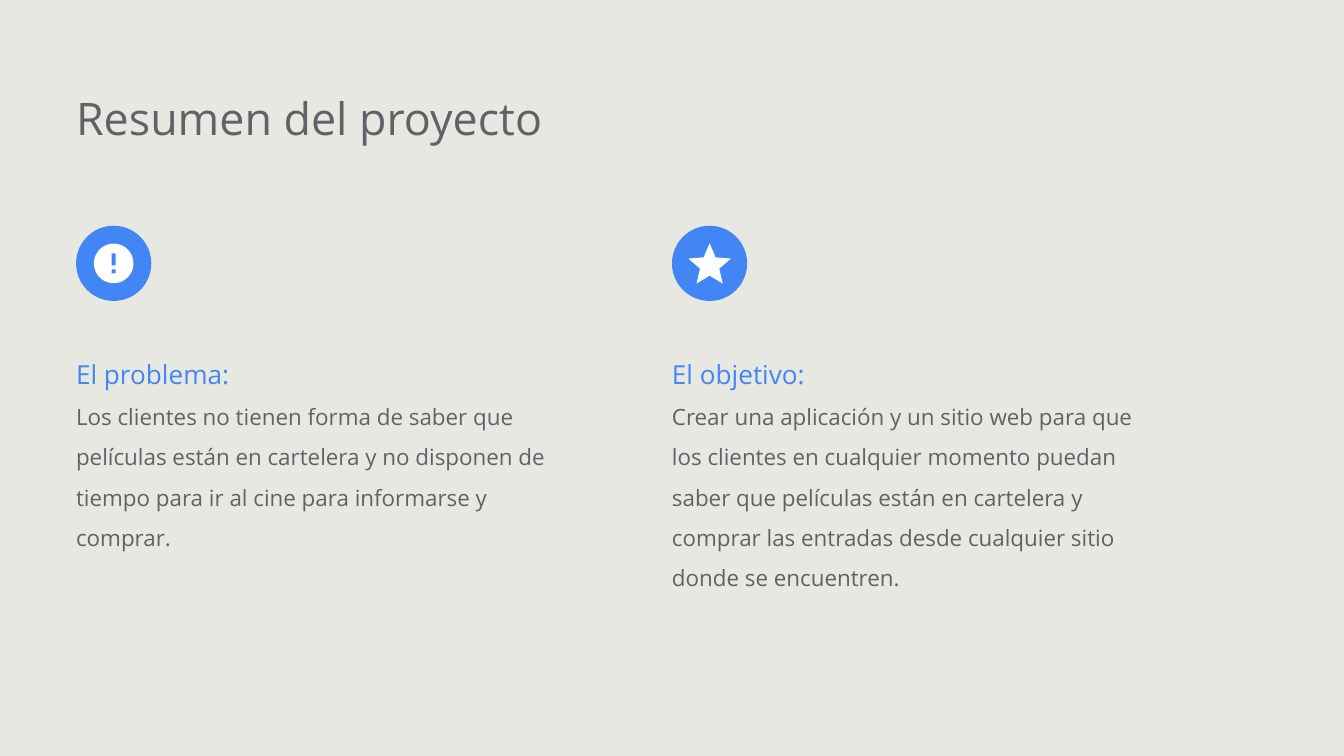
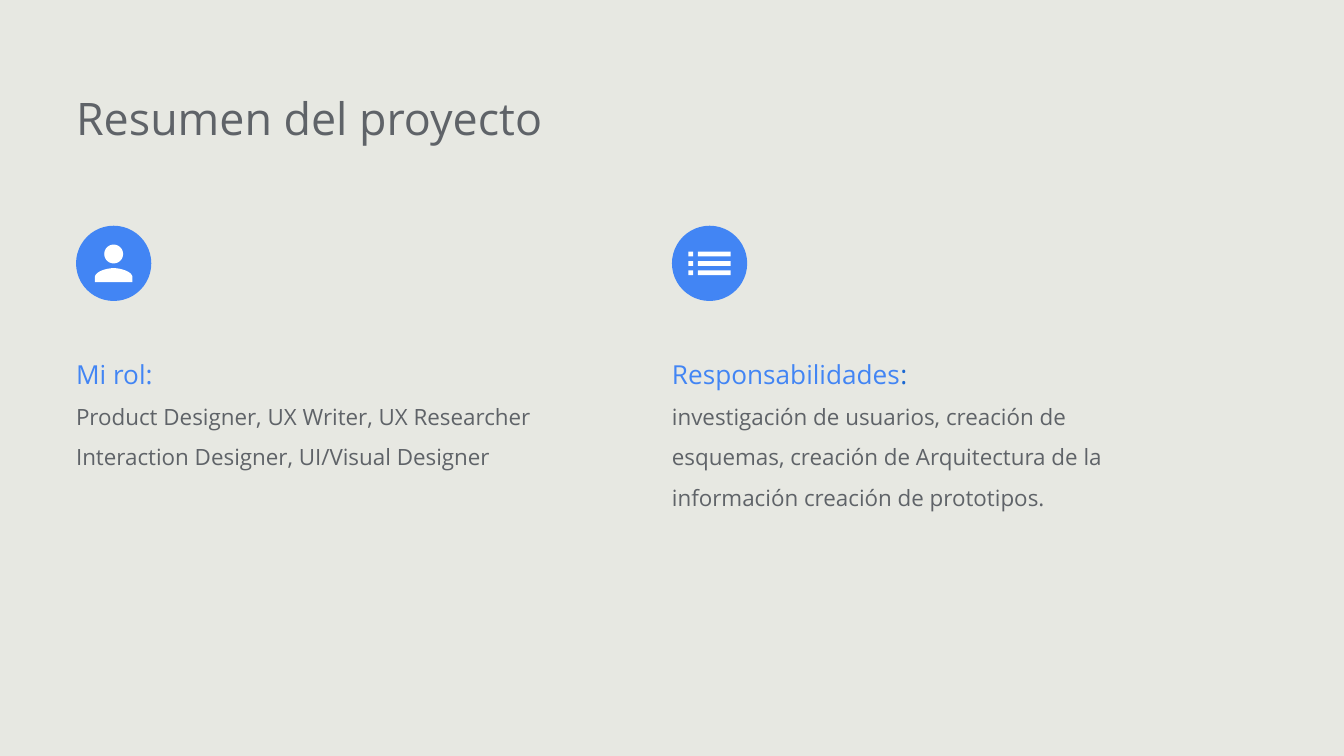
from dataclasses import dataclass
from math import cos, pi, sin

from pptx import Presentation
from pptx import util as u
from pptx.dml.color import RGBColor
from pptx.enum import shapes, text


@dataclass(frozen=True)
class Theme:
    """Colours, font and type sizes shared by the slides."""
    paper: str = "E7E8E2"
    accent: str = "4285F4"
    deep: str = "1967D2"
    ink: str = "5F6368"
    white: str = "FFFFFF"
    font: str = "Open Sans"
    title: int = 24
    heading: int = 14
    body: int = 12


THEME = Theme()
WIDTH = u.Inches(10)
HEIGHT = u.Emu(WIDTH * 9 // 16)
CELL = WIDTH / 100
COLUMNS = (5.66, 50)
TITLE_TOP = 5.74
DISC_TOP, DISC_SIZE = 16.8, 5.6
TEXT_TOP, TEXT_WIDTH = 24.5, 37.7


def grid(*cells):
    """Turn grid cells, each a hundredth of the slide width, into lengths."""
    return [u.Emu(round(c * CELL)) for c in cells]


def paint(sp, color):
    """Give a shape a flat fill with no line or shadow."""
    sp.shadow.inherit = False
    sp.fill.solid()
    sp.fill.fore_color.rgb = RGBColor.from_string(color)
    sp.line.fill.background()


def add_run(p, content, size, color):
    """Append a formatted run to a paragraph."""
    r = p.add_run()
    r.text = content
    r.font.name = THEME.font
    r.font.size = u.Pt(size)
    r.font.color.rgb = RGBColor.from_string(color)


def add_text(slide, paragraphs, box, spacing=None):
    """Add a text box whose paragraphs are lists of (text, size, colour) runs."""
    tf = slide.shapes.add_textbox(*grid(*box)).text_frame
    tf.word_wrap = True
    tf.auto_size = text.MSO_AUTO_SIZE.SHAPE_TO_FIT_TEXT
    tf.margin_left = 0
    tf.margin_right = tf.margin_top = tf.margin_bottom = u.Inches(0.1)
    for i, runs in enumerate(paragraphs):
        p = tf.add_paragraph() if i else tf.paragraphs[0]
        if spacing:
            p.line_spacing = spacing
        for run in runs:
            add_run(p, *run)


def rect(x, y, w, h):
    """Return the corners of a rectangle."""
    return [(x, y), (x + w, y), (x + w, y + h), (x, y + h)]


def circle(x, y, radius, steps=72):
    """Return points round a circle."""
    turns = [2 * pi * i / steps for i in range(steps)]
    return [(x + radius * cos(t), y + radius * sin(t)) for t in turns]


def curve(a, b, c, d, steps=24):
    """Return points along a cubic curve."""
    weights = [((1 - t) ** 3, 3 * t * (1 - t) ** 2, 3 * t * t * (1 - t), t ** 3)
               for t in (i / steps for i in range(steps + 1))]
    return [tuple(sum(w * q[k] for w, q in zip(ws, (a, b, c, d))) for k in (0, 1))
            for ws in weights]


def mirror(points):
    """Join a left half outline with its reflection about x = 0."""
    return points + [(-x, y) for x, y in reversed(points)]


def icons():
    """Return each icon as its width in cells and its outlines about (0, 0)."""
    star = mirror([(0, -9.5), (-2.81, -2.87), (-10, -2.26),
                   (-4.54, 2.47), (-6.18, 9.5), (0, 5.77)])
    shoulders = mirror(curve((0, 2), (-2.67, 2), (-8, 3.34), (-8, 6)) + [(-8, 8)])
    rows = [rect(x, y, w, 2) for y in (-5, -1, 3) for x, w in ((-9, 2), (-5, 14))]
    return {
        "alert": (2.94, [rect(-1, -5, 2, 6), rect(-1, 3, 2, 2), circle(0, 0, 10)]),
        "star": (3.16, [star]),
        "person": (2.8, [circle(0, -4, 4), shoulders]),
        "list": (3.15, rows),
    }


def add_icon(slide, name, left):
    """Draw a white icon centred on an accent disc."""
    disc = slide.shapes.add_shape(shapes.MSO_SHAPE.OVAL,
                                  *grid(left, DISC_TOP, DISC_SIZE, DISC_SIZE))
    paint(disc, THEME.accent)
    width, outlines = icons()[name]
    scale = width / (2 * max(x for o in outlines for x, _ in o))
    cx, cy = left + DISC_SIZE / 2, DISC_TOP + DISC_SIZE / 2
    builder = None
    for outline in outlines:
        points = [grid(cx + x * scale, cy + y * scale) for x, y in outline]
        if builder is None:
            builder = slide.shapes.build_freeform(*points[0])
        else:
            builder.move_to(*points[0])
        builder.add_line_segments(points[1:], close=True)
    paint(builder.convert_to_shape(), THEME.white)


def add_topic(slide, left, icon, heading, lines, height, colon=None):
    """Add one column: icon, heading with an optional coloured colon, and body."""
    add_icon(slide, icon, left)
    head = [(heading, THEME.heading, THEME.accent)]
    if colon:
        head.append((":", THEME.heading, colon))
    body = [[(line, THEME.body, THEME.ink)] for line in lines]
    add_text(slide, [head] + body, (left, TEXT_TOP, TEXT_WIDTH, height), spacing=1.5)


def add_summary(prs, topics):
    """Add a titled slide with one topic per column."""
    s = prs.slides.add_slide(prs.slide_layouts[6])
    s.background.fill.solid()
    s.background.fill.fore_color.rgb = RGBColor.from_string(THEME.paper)
    add_text(s, [[("Resumen del proyecto", THEME.title, THEME.ink)]],
             (COLUMNS[0], TITLE_TOP, 67.3, 6.1))
    for left, topic in zip(COLUMNS, topics):
        add_topic(s, left, **topic)


def main():
    """Build the two summary slides."""
    prs = Presentation()
    prs.slide_width, prs.slide_height = WIDTH, HEIGHT
    add_summary(prs, [
        dict(icon="alert", heading="El problema:", height=17.7, lines=[
            "Los clientes no tienen forma de saber que películas están en cartelera "
            "y no disponen de tiempo para ir al cine para informarse y comprar."]),
        dict(icon="star", heading="El objetivo:", height=20.7, lines=[
            "Crear una aplicación y un sitio web para que los clientes en cualquier "
            "momento puedan saber que películas están en cartelera y comprar las "
            "entradas desde cualquier sitio donde se encuentren."]),
    ])
    add_summary(prs, [
        dict(icon="person", heading="Mi rol:", height=11.6, lines=[
            "Product Designer, UX Writer, UX Researcher",
            "Interaction Designer, UI/Visual Designer"]),
        dict(icon="list", heading="Responsabilidades", height=14.6, colon=THEME.deep,
             lines=["investigación de usuarios, creación de esquemas, creación de "
                    "Arquitectura de la información creación de prototipos."]),
    ])
    prs.save("out.pptx")


if __name__ == "__main__":
    main()
